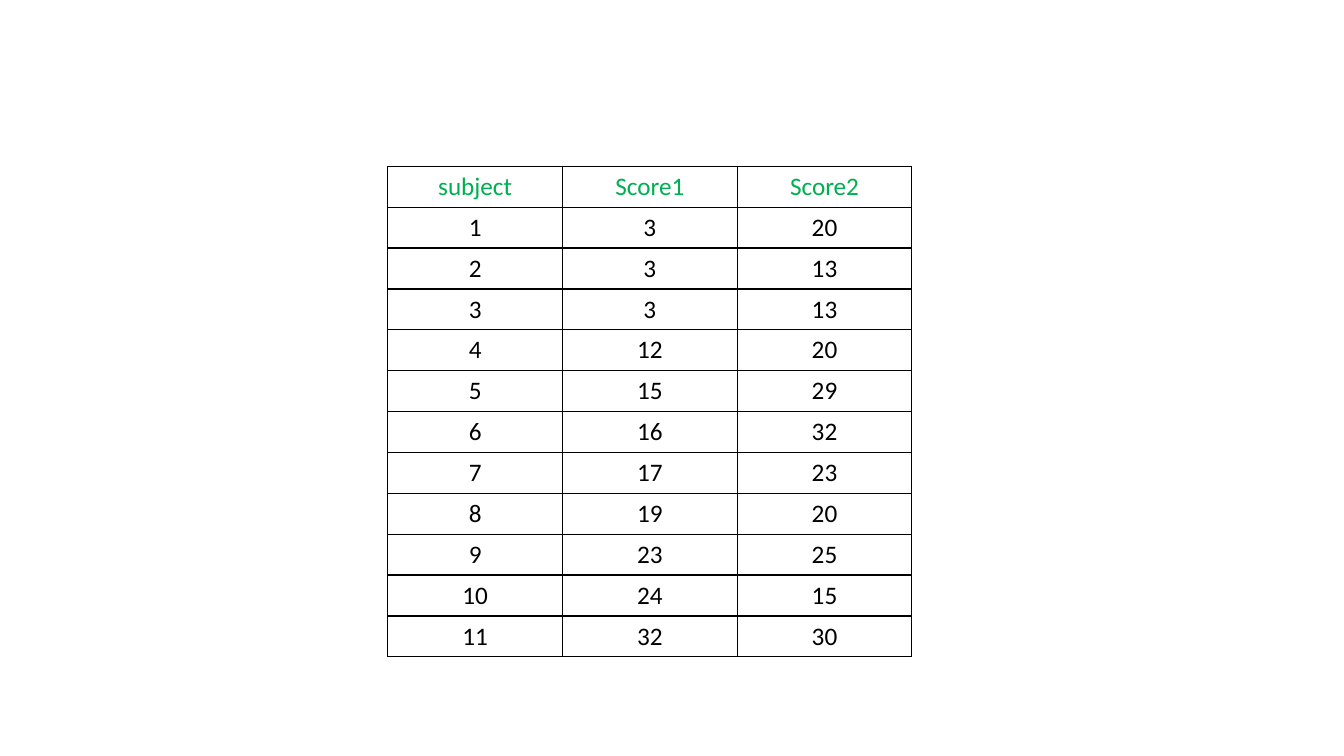
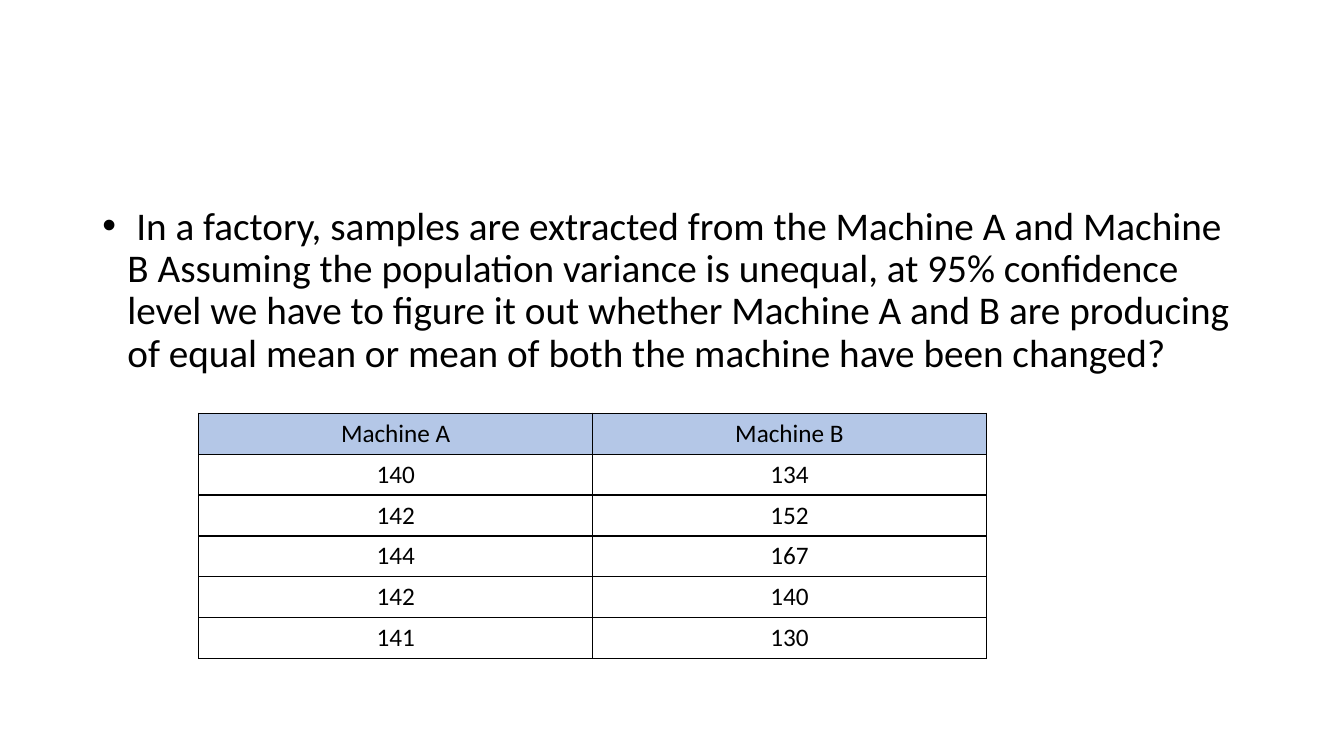
from dataclasses import dataclass

from lxml.etree import SubElement
from pptx import Presentation
from pptx.dml.color import RGBColor as RGB
from pptx.enum.text import MSO_ANCHOR as Anchor, PP_ALIGN as Align
from pptx.oxml import parse_xml
from pptx.oxml.ns import nsdecls, qn
from pptx.util import Pt


@dataclass(frozen=True)
class Theme:
    font: str = "Calibri"
    ink: str = "000000"
    score_heading: str = "00B050"
    machine_heading: str = "B4C7E7"
    paper: str = "FFFFFF"
    body_size: int = 28
    table_size: int = 18
    row_height: float = 29.2
    border: int = 1


THEME = Theme()

SCORES = [
    ("subject", "Score1", "Score2"),
    (1, 3, 20),
    (2, 3, 13),
    (3, 3, 13),
    (4, 12, 20),
    (5, 15, 29),
    (6, 16, 32),
    (7, 17, 23),
    (8, 19, 20),
    (9, 23, 25),
    (10, 24, 15),
    (11, 32, 30),
]

MACHINES = [
    ("Machine A", "Machine B"),
    (140, 134),
    (142, 152),
    (144, 167),
    (142, 140),
    (141, 130),
]

QUESTION = (
    " In a factory, samples are extracted from the Machine A and Machine B "
    "Assuming the population variance is unequal, at 95% confidence level "
    "we have to figure it out whether Machine A and B are producing of equal "
    "mean or mean of both the machine have been changed?"
)


def style_font(paragraph, size, color):
    font = paragraph.font
    font.name = THEME.font
    font.size = Pt(size)
    font.bold = False
    font.color.rgb = RGB.from_string(color)


def add_borders(cell):
    properties = cell._tc.get_or_add_tcPr()
    for position, side in enumerate("LRTB"):
        border = parse_xml(
            f'<a:ln{side} {nsdecls("a")} w="{Pt(THEME.border)}"><a:solidFill>'
            f'<a:srgbClr val="{THEME.ink}"/></a:solidFill></a:ln{side}>'
        )
        properties.insert(position, border)


def fill_cell(cell, value, color, fill):
    cell.text = str(value)
    cell.vertical_anchor = Anchor.MIDDLE
    cell.fill.solid()
    cell.fill.fore_color.rgb = RGB.from_string(fill)
    paragraph = cell.text_frame.paragraphs[0]
    paragraph.alignment = Align.CENTER
    style_font(paragraph, THEME.table_size, color)
    add_borders(cell)


def add_data_table(slide, left, top, width, records,
                   heading_color=THEME.ink, heading_fill=THEME.paper):
    height = THEME.row_height * len(records)
    table = slide.shapes.add_table(
        len(records), len(records[0]), Pt(left), Pt(top), Pt(width), Pt(height)
    ).table
    table.horz_banding = False
    for row, record in enumerate(records):
        table.rows[row].height = Pt(THEME.row_height)
        color, fill = (THEME.ink, THEME.paper) if row else (heading_color, heading_fill)
        for column, value in enumerate(record):
            fill_cell(table.cell(row, column), value, color, fill)


def add_question(slide, left, top, width, height):
    frame = slide.shapes.add_textbox(Pt(left), Pt(top), Pt(width), Pt(height)).text_frame
    frame.word_wrap = True
    paragraph = frame.paragraphs[0]
    paragraph.text = QUESTION
    paragraph.line_spacing = 0.9
    paragraph.space_before = Pt(10)
    properties = paragraph._p.get_or_add_pPr()
    properties.set("marL", str(Pt(18)))
    properties.set("indent", str(Pt(-18)))
    SubElement(properties, qn("a:buFont")).set("typeface", "Arial")
    SubElement(properties, qn("a:buChar")).set("char", "•")
    style_font(paragraph, THEME.body_size, THEME.ink)


def build_scores(slide):
    add_data_table(slide, 277, 118.8, 374.4, SCORES, heading_color=THEME.score_heading)


def build_machines(slide):
    add_question(slide, 66, 143.75, 828, 342.6)
    add_data_table(slide, 142, 295.2, 562.6, MACHINES, heading_fill=THEME.machine_heading)


def main():
    deck = Presentation()
    deck.slide_width, deck.slide_height = Pt(960), Pt(540)
    blank = deck.slide_layouts[6]
    for build in (build_scores, build_machines):
        build(deck.slides.add_slide(blank))
    deck.save("out.pptx")


if __name__ == "__main__":
    main()
